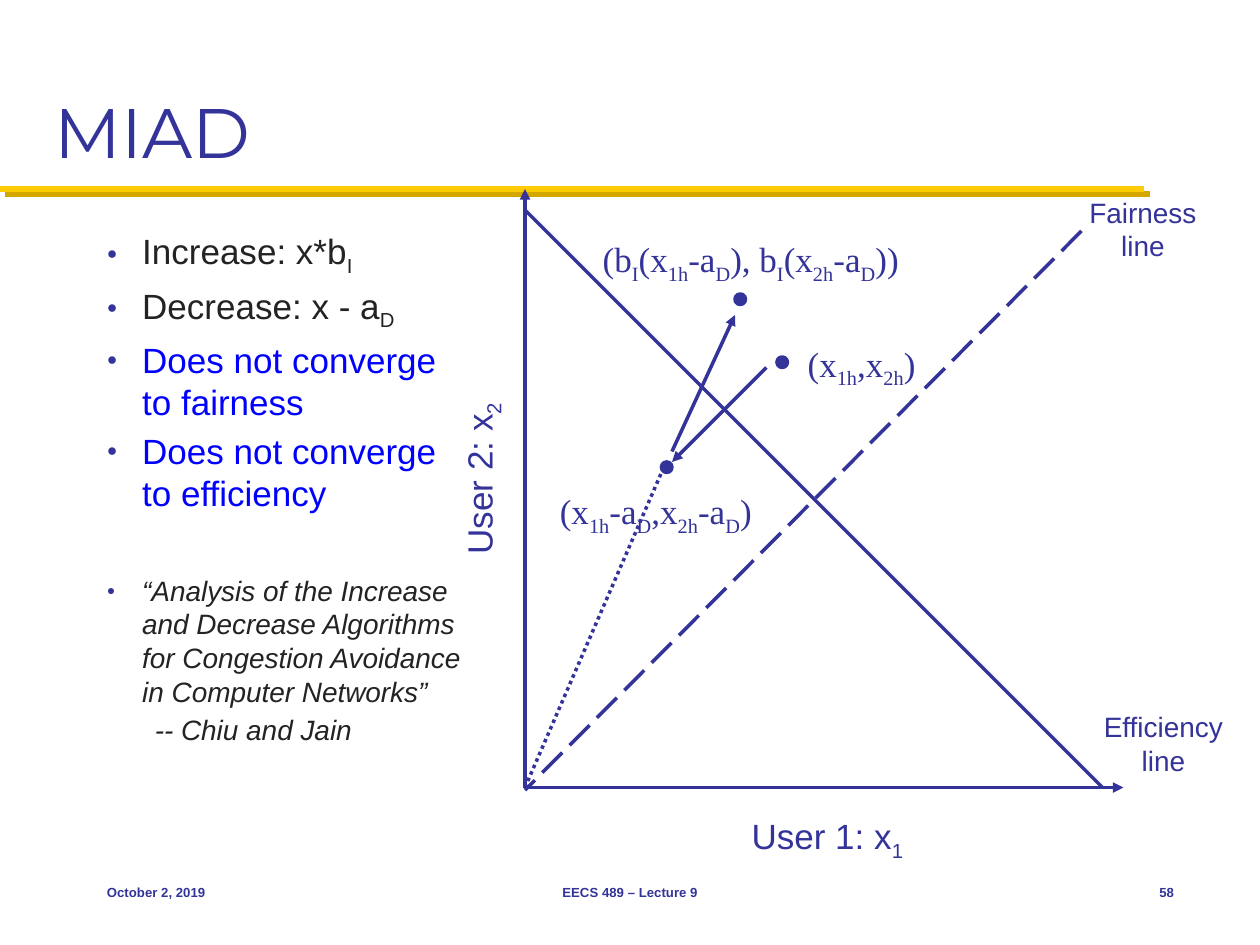
from lxml.etree import SubElement
from pptx import Presentation
from pptx.dml.color import RGBColor
from pptx.enum.dml import MSO_LINE
from pptx.enum.shapes import MSO_CONNECTOR, MSO_SHAPE
from pptx.enum.text import MSO_ANCHOR, PP_ALIGN
from pptx.oxml.ns import qn
from pptx.util import Inches, Pt

COLORS = {"navy": "333399", "gold": "FFCB05", "shade": "D3A600",
          "ink": "232323", "blue": "0000FF"}
COLS, ROWS = 120, 90
WIDTH, HEIGHT = Inches(10), Inches(7.5)
SERIF = "Times New Roman"
LEFT, MID, RIGHT = PP_ALIGN.LEFT, PP_ALIGN.CENTER, PP_ALIGN.RIGHT
ZERO = (50, 75)


def across(col):
    return round(WIDTH * col / COLS)


def down(row):
    return round(HEIGHT * row / ROWS)


def place(box):
    left, top, width, height = box
    return across(left), down(top), across(width), down(height)


def paint(name):
    return RGBColor.from_string(COLORS[name])


def add_runs(para, text, size, font="Arial", color="navy", bold=None, italic=None):
    """Add text whose parts between underscores are subscripts."""
    for i, part in enumerate(text.split("_")):
        if not part:
            continue
        run = para.add_run()
        run.text = part
        face = run.font
        face.name, face.size = font, Pt(size)
        face.bold, face.italic = bold, italic
        face.color.rgb = paint(color)
        if i % 2:
            run._r.get_or_add_rPr().set("baseline", "-25000")


def add_frame(slide, box, wrap=False, anchor=MSO_ANCHOR.TOP, turn=0):
    shape = slide.shapes.add_textbox(*place(box))
    shape.rotation = turn
    frame = shape.text_frame
    frame.word_wrap = wrap
    frame.vertical_anchor = anchor
    return frame


def add_label(slide, box, lines, size, align=MID, anchor=MSO_ANCHOR.TOP,
              turn=0, **style):
    frame = add_frame(slide, box, anchor=anchor, turn=turn)
    for i, line in enumerate(lines.split("\n")):
        para = frame.add_paragraph() if i else frame.paragraphs[0]
        para.alignment = align
        add_runs(para, line, size, **style)


def add_line(slide, start, end, color="navy", width=2, dash=None, arrow=False):
    line = slide.shapes.add_connector(
        MSO_CONNECTOR.STRAIGHT, across(start[0]), down(start[1]),
        across(end[0]), down(end[1]))
    line.line.color.rgb = paint(color)
    line.line.width = Pt(width)
    if dash:
        line.line.dash_style = dash
    if arrow:
        SubElement(line.line._get_or_add_ln(), qn("a:tailEnd"), type="triangle")
    return SubElement(line._element.spPr, qn("a:effectLst"))


def add_rule(slide):
    """Draw the gold line under the title with its hard shadow."""
    effects = add_line(slide, (0, 18), (109, 18), "gold", 3.5)
    shade = SubElement(effects, qn("a:outerShdw"), dist=str(Pt(4.2)),
                       dir="2700000", algn="ctr", rotWithShape="0")
    SubElement(shade, qn("a:srgbClr"), val=COLORS["shade"])


def add_dot(slide, col, row):
    dot = slide.shapes.add_shape(MSO_SHAPE.OVAL, *place((col, row, 1, 1)))
    dot.shadow.inherit = False
    dot.fill.solid()
    dot.fill.fore_color.rgb = paint("navy")
    dot.line.color.rgb = paint("navy")
    dot.line.width = Pt(2)


def indent(para, margin, hang=0):
    props = para._p.get_or_add_pPr()
    props.set("marL", str(Inches(margin)))
    props.set("indent", str(Inches(hang)))
    return props


def add_bullet(para):
    props = indent(para, 0.28, -0.28)
    tint = SubElement(props, qn("a:buClr"))
    SubElement(tint, qn("a:srgbClr"), val=COLORS["navy"])
    SubElement(props, qn("a:buSzPct"), val="50000")
    SubElement(props, qn("a:buFont"), typeface="Arial")
    SubElement(props, qn("a:buChar"), char="●")


def add_notes(slide):
    frame = add_frame(slide, (9, 21.25, 36.75, 58), wrap=True)
    points = [("Increase: x*b_I_", 20, "ink", 0),
              ("Decrease: x - a_D_", 20, "ink", 4),
              ("Does not converge to fairness", 20, "blue", 4),
              ("Does not converge to efficiency", 20, "blue", 4),
              ("“Analysis of the Increase and Decrease Algorithms for "
               "Congestion Avoidance in Computer Networks”", 16, "ink", 34)]
    for i, (text, size, color, gap) in enumerate(points):
        para = frame.add_paragraph() if i else frame.paragraphs[0]
        add_bullet(para)
        para.space_before = Pt(gap)
        add_runs(para, text, size, color=color, italic=size == 16)
    para = frame.add_paragraph()
    indent(para, 0.38)
    para.space_before = Pt(3)
    add_runs(para, "-- Chiu and Jain", 16, color="ink", italic=True)


def add_graph(slide):
    add_line(slide, ZERO, (50, 18), arrow=True)
    add_line(slide, (103, 22), (50, 75.25), dash=MSO_LINE.LONG_DASH)
    add_line(slide, ZERO, (107, 75), arrow=True)
    add_line(slide, (50, 20), (105, 75))
    add_line(slide, (73, 35), (64, 44), arrow=True)
    add_line(slide, (64, 43), (70, 30), arrow=True)
    add_line(slide, ZERO, (63, 45), dash=MSO_LINE.ROUND_DOT)
    for col, row in ((74, 34), (63, 44), (70, 28)):
        add_dot(slide, col, row)
    for box, text in (
            ((75.4, 32, 13.3, 5.2), "(x_1h_,x_2h_)"),
            ((51.6, 46, 21.7, 5.2), "(x_1h_-a_D_,x_2h_-a_D_)"),
            ((54, 22, 35, 5.2), "(b_I_(x_1h_-a_D_), b_I_(x_2h_-a_D_))")):
        add_label(slide, box, text, 20, font=SERIF)
    add_label(slide, (102.5, 18, 12.7, 7.7), "Fairness\nline", 16)
    add_label(slide, (103.9, 67, 13.8, 7.7), "Efficiency\nline", 16)
    add_label(slide, (70.3, 77, 17, 5.2), "User 1: x_1_", 20)
    add_label(slide, (37.1, 43, 17, 5.2), "User 2: x_2_", 20, turn=270)


def add_footer(slide):
    for left, width, text, align in (
            (9, 25, "October 2, 2019", LEFT),
            (41, 38, "EECS 489 – Lecture 9", MID),
            (105, 8, "58", RIGHT)):
        add_label(slide, (left, 82, width, 6), text, 7.5, align,
                  MSO_ANCHOR.MIDDLE, bold=True)


def main():
    deck = Presentation()
    deck.slide_width, deck.slide_height = WIDTH, HEIGHT
    slide = deck.slides.add_slide(deck.slide_layouts[6])
    add_rule(slide)
    add_label(slide, (4, 2, 112, 15), "MIAD", 40, LEFT, MSO_ANCHOR.BOTTOM,
              font="Montserrat")
    add_notes(slide)
    add_graph(slide)
    add_footer(slide)
    deck.save("out.pptx")


if __name__ == "__main__":
    main()
